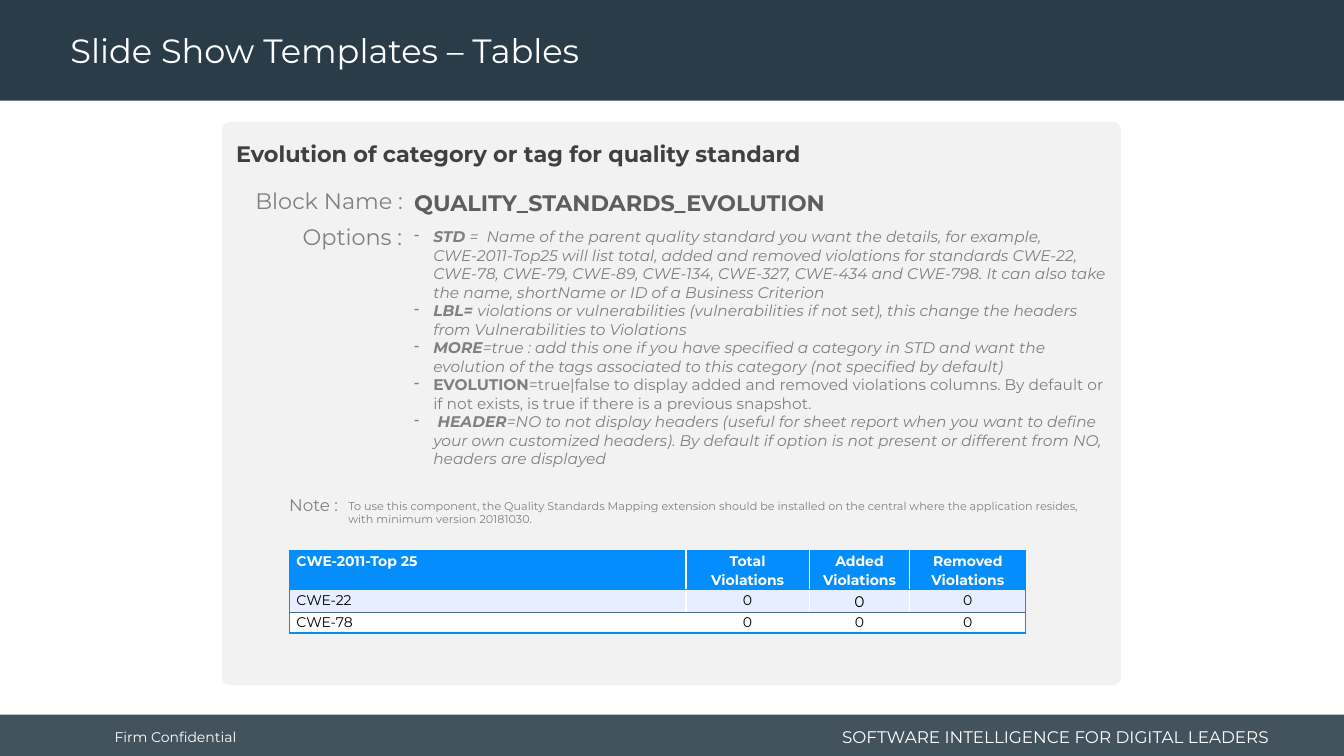
from lxml import etree
from pptx import Presentation
from pptx.dml.color import RGBColor
from pptx.enum.shapes import MSO_SHAPE
from pptx.enum.text import MSO_ANCHOR, MSO_AUTO_SIZE, PP_ALIGN
from pptx.oxml.ns import qn
from pptx.util import Cm, Pt

RECT, ROUND = MSO_SHAPE.RECTANGLE, MSO_SHAPE.ROUNDED_RECTANGLE
LEFT, MID, RIGHT = PP_ALIGN.LEFT, PP_ALIGN.CENTER, PP_ALIGN.RIGHT
TOP, CENTER = MSO_ANCHOR.TOP, MSO_ANCHOR.MIDDLE
FONT = "Montserrat"
NAVY, WHITE, BLACK, GREY = "293C47", "FFFFFF", "000000", "808080"
BLUE, PALE, RULE = "048EFD", "E7EEFF", "4A6A95"
WIDE, TALL = 33.87, 19.05

# Each option: keyword, description, whether both are italic
OPTIONS = [
    ("STD ", "=  Name of the parent quality standard you want the details, for example, "
     "CWE-2011-Top25 will list total, added and removed violations for standards CWE-22, "
     "CWE-78, CWE-79, CWE-89, CWE-134, CWE-327, CWE-434 and CWE-798. It can also take "
     "the name, shortName or ID of a Business Criterion", True),
    ("LBL= ", "violations or vulnerabilities (vulnerabilities if not set), this change "
     "the headers from Vulnerabilities to Violations", True),
    ("MORE", "=true : add this one if you have specified a category in STD and want the "
     "evolution of the tags associated to this category (not specified by default)", True),
    ("EVOLUTION", "=true|false to display added and removed violations columns. By default "
     "or if not exists, is true if there is a previous snapshot.", False),
    (" HEADER", "=NO to not display headers (useful for sheet report when you want to "
     "define your own customized headers). By default if option is not present or "
     "different from NO, headers are displayed", True),
]
ROWS = [
    ["CWE-2011-Top 25", "Total Violations", "Added Violations", "Removed Violations"],
    ["CWE-22", "0", "0", "0"],
    ["CWE-78", "0", "0", "0"],
]


def rgb(code):
    return RGBColor.from_string(code)


def edge(cell, side, color, width):
    """Draw one border of a cell; side is L, R, T or B."""
    line = etree.Element(qn(f"a:ln{side}"), w=str(Pt(width)))
    fill = etree.SubElement(line, qn("a:solidFill"))
    etree.SubElement(fill, qn("a:srgbClr"), val=color)
    props = cell._tc.get_or_add_tcPr()
    # borders come before the fill, in the order L, R, T, B
    props.insert(sum(child.tag.startswith(qn("a:ln")) for child in props), line)


class Deck:
    def __init__(self):
        self.prs = Presentation()
        self.prs.slide_width, self.prs.slide_height = Cm(WIDE), Cm(TALL)
        self.slide = self.prs.slides.add_slide(self.prs.slide_layouts[5])
        self.shapes = self.slide.shapes

    def style(self, run, size, color, bold=False, italic=False):
        font = run.font
        font.name, font.size, font.bold, font.italic = FONT, Pt(size), bold, italic
        font.color.rgb = rgb(color)

    def put(self, para, words, size, color, bold=False, align=LEFT):
        """Set the text of a paragraph and format it."""
        para.text, para.alignment = words, align
        self.style(para.runs[0], size, color, bold)

    def block(self, kind, box, color, alpha=None, round=None):
        shape = self.shapes.add_shape(kind, *map(Cm, box))
        shape.shadow.inherit = False
        shape.fill.solid()
        shape.fill.fore_color.rgb = rgb(color)
        shape.line.fill.background()
        if round is not None:
            shape.adjustments[0] = round
        if alpha:
            tint = shape.fill._xPr.find(".//" + qn("a:srgbClr"))
            etree.SubElement(tint, qn("a:alpha"), val=str(alpha * 1000))

    def frame(self, box, wrap=True, anchor=TOP, inset=0.25):
        frame = self.shapes.add_textbox(*map(Cm, box)).text_frame
        frame.word_wrap, frame.vertical_anchor = wrap, anchor
        frame.margin_left = frame.margin_right = Cm(inset)
        return frame

    def label(self, words, box, size, color, bold=False, align=LEFT, **kind):
        self.put(self.frame(box, **kind).paragraphs[0], words, size, color, bold, align)

    def title(self, words, box):
        title = self.shapes.title
        self.shapes._spTree.append(title._element)  # above the header band
        title.left, title.top, title.width, title.height = map(Cm, box)
        frame = title.text_frame
        frame.auto_size, frame.vertical_anchor = MSO_AUTO_SIZE.NONE, CENTER
        para = frame.paragraphs[0]
        self.put(para, words, 24, WHITE)
        para.line_spacing = 0.9

    def options(self, items, box):
        frame = self.frame(box)
        for i, (key, words, italic) in enumerate(items):
            para = frame.add_paragraph() if i else frame.paragraphs[0]
            props = para._p.get_or_add_pPr()
            props.set("marL", str(Cm(0.48)))
            props.set("indent", str(-Cm(0.48)))
            etree.SubElement(props, qn("a:buChar"), char="-")
            for part, bold in ((key, True), (words, False)):
                run = para.add_run()
                run.text = part
                self.style(run, 11, GREY, bold, italic)

    def table(self, rows, spot, widths, heights):
        last, end = len(rows) - 1, len(widths) - 1
        size = sum(widths), sum(heights)
        grid = self.shapes.add_table(last + 1, end + 1, *map(Cm, (*spot, *size))).table
        for col, width in zip(grid.columns, widths):
            col.width = Cm(width)
        for r, row in enumerate(rows):
            grid.rows[r].height = Cm(heights[r])
            for c, words in enumerate(row):
                cell = grid.cell(r, c)
                cell.margin_left = cell.margin_right = Cm(0.18)
                cell.margin_top = cell.margin_bottom = 0
                cell.fill.solid()
                cell.fill.fore_color.rgb = rgb((BLUE, PALE, WHITE)[r])
                para = cell.text_frame.paragraphs[0]
                self.put(para, words, 11 if (r, c) == (1, 2) else 10,
                         BLACK if r else WHITE, r == 0, MID if c else LEFT)
                para.line_spacing = 1.15
                if c == 0:
                    edge(cell, "L", BLUE, 1)
                if c == end:
                    edge(cell, "R", BLUE, 1)
                edge(cell, "T", *((RULE, 0.5) if r == last else (BLUE, 1)))
                edge(cell, "B", *((RULE, 0.5) if r == 1 else (BLUE, 1)))


def main():
    deck = Deck()
    deck.block(RECT, (0, 18.01, WIDE, 1.04), NAVY, alpha=88)
    deck.block(RECT, (0, 0, WIDE, 2.54), NAVY)
    deck.label("Firm Confidential", (2.64, 18.06, 3.76, 1.02), 10, WHITE,
               wrap=False, anchor=CENTER)
    deck.label("SOFTWARE INTELLIGENCE FOR DIGITAL LEADERS", (20.6, 18.16, 11.63, 0.81),
               12, WHITE, align=RIGHT, anchor=CENTER)
    deck.block(ROUND, (5.59, 3.07, 22.66, 14.2), "F2F2F2", round=0.015)
    deck.label("Evolution of category or tag for quality standard",
               (5.44, 3.4, 22.63, 0.94), 16, "404040", True, inset=0.51)
    deck.label("QUALITY_STANDARDS_EVOLUTION", (10.19, 4.65, 18.42, 0.94), 16, "5E5E5E", True)
    deck.options(OPTIONS, (10.19, 5.61, 18.14, 6.83))
    deck.label("To use this component, the Quality Standards Mapping extension should be "
               "installed on the central where the application resides, with minimum "
               "version 20181030.", (8.53, 12.45, 19.43, 0.94), 8, GREY)
    for words, box, size in (
        ("Block Name :", (6.17, 4.6, 4.24, 0.94), 16),
        ("Options :", (7.32, 5.51, 3.07, 0.94), 16),
        ("Note :", (6.99, 12.34, 1.78, 0.76), 12),
    ):
        deck.label(words, box, size, GREY, align=RIGHT, wrap=False)
    deck.title("Slide Show Templates – Tables", (1.52, 0.1, 24.33, 2.44))
    deck.table(ROWS, (7.29, 13.87), (10, 3.1, 2.54, 2.92), (0.99, 0.56, 0.53))
    deck.prs.save("out.pptx")


if __name__ == "__main__":
    main()
